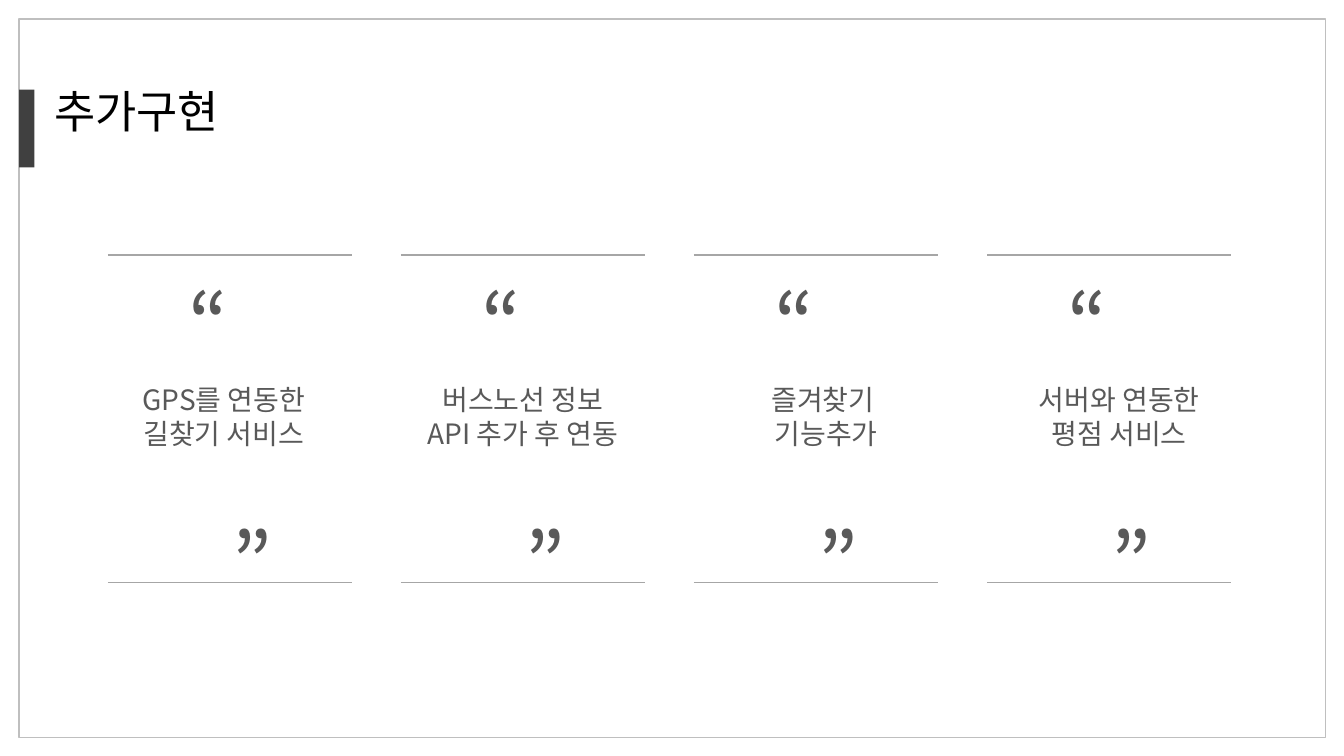
"""Build the slide that lists four planned extra features as quotations."""
from dataclasses import dataclass

from lxml import etree
from pptx import Presentation
from pptx.dml.color import RGBColor
from pptx.enum import shapes, text
from pptx.oxml import ns
from pptx.util import Inches, Length, Pt


@dataclass(frozen=True)
class Theme:
    font: str = "Noto Sans CJK KR"
    title: RGBColor = RGBColor(0x00, 0x00, 0x00)
    body: RGBColor = RGBColor(0x59, 0x59, 0x59)
    accent: RGBColor = RGBColor(0x40, 0x40, 0x40)
    frame: RGBColor = RGBColor(0xBF, 0xBF, 0xBF)
    rule: RGBColor = RGBColor(0xA6, 0xA6, 0xA6)
    title_size: Length = Pt(32)
    quote_size: Length = Pt(60)
    body_size: Length = Pt(20)
    frame_width: Length = Pt(1)
    rule_width: Length = Pt(0.75)


@dataclass(frozen=True)
class Box:
    left: float
    top: float
    width: float
    height: float

    def lengths(self) -> tuple[Length, ...]:
        return tuple(Inches(v) for v in (self.left, self.top, self.width, self.height))


@dataclass(frozen=True)
class Feature:
    lines: tuple[str, ...]
    caption_shift: float = 0


THEME = Theme()
FEATURES = (
    Feature(("GPS를 연동한", "길찾기 서비스"), -0.16),
    Feature(("버스노선 정보", "API 추가 후 연동"), -0.1),
    Feature(("즐겨찾기 ", "기능추가")),
    Feature(("서버와 연동한", "평점 서비스")),
)
FIRST_LEFT, LAST_LEFT, COLUMN_WIDTH = 1.07, 9.79, 2.42
PITCH = (LAST_LEFT - FIRST_LEFT) / (len(FEATURES) - 1)
RULE_TOPS = (2.53, 5.78)
QUOTE_WIDTH, QUOTE_HEIGHT = 2, 1.11
QUOTES = (("“", 0, 2.64), ("”", 0.43, 5.02))


def add_text(slide, box: Box, lines: tuple[str, ...], size: Length, color: RGBColor,
             align: text.PP_ALIGN = text.PP_ALIGN.CENTER) -> None:
    frame = slide.shapes.add_textbox(*box.lengths()).text_frame
    frame.word_wrap = True
    frame.auto_size = text.MSO_AUTO_SIZE.SHAPE_TO_FIT_TEXT
    frame.text = "\n".join(lines)
    for paragraph in frame.paragraphs:
        paragraph.alignment = align
        paragraph.font.name = THEME.font
        paragraph.font.size = size
        paragraph.font.color.rgb = color
        defaults = paragraph._p.pPr.find(ns.qn("a:defRPr"))
        etree.SubElement(defaults, ns.qn("a:ea"), typeface=THEME.font)


def add_rectangle(slide, box: Box, fill: RGBColor | None = None,
                  line: RGBColor | None = None) -> None:
    rectangle = slide.shapes.add_shape(shapes.MSO_SHAPE.RECTANGLE, *box.lengths())
    rectangle.shadow.inherit = False
    if fill is None:
        rectangle.fill.background()
    else:
        rectangle.fill.solid()
        rectangle.fill.fore_color.rgb = fill
    if line is None:
        rectangle.line.fill.background()
    else:
        rectangle.line.color.rgb = line
        rectangle.line.width = THEME.frame_width


def add_rule(slide, left: float, top: float) -> None:
    rule = slide.shapes.add_connector(
        shapes.MSO_CONNECTOR.STRAIGHT,
        Inches(left), Inches(top), Inches(left + COLUMN_WIDTH), Inches(top))
    rule.line.color.rgb = THEME.rule
    rule.line.width = THEME.rule_width
    etree.SubElement(rule._element.spPr, ns.qn("a:effectLst"))


def add_feature(slide, feature: Feature, left: float) -> None:
    for top in RULE_TOPS:
        add_rule(slide, left, top)
    for mark, shift, top in QUOTES:
        add_text(slide, Box(left + shift, top, QUOTE_WIDTH, QUOTE_HEIGHT),
                 (mark,), THEME.quote_size, THEME.body)
    add_text(slide, Box(left + feature.caption_shift, 3.75, 2.62, 0.77),
             feature.lines, THEME.body_size, THEME.body)


def main() -> None:
    deck = Presentation()
    deck.slide_width, deck.slide_height = Inches(13.33), Inches(7.5)
    slide = deck.slides.add_slide(deck.slide_layouts[6])
    add_rectangle(slide, Box(0.19, 0.19, 12.96, 7.13), line=THEME.frame)
    add_rectangle(slide, Box(0.19, 0.89, 0.15, 0.77), fill=THEME.accent)
    add_text(slide, Box(0.44, 0.78, 5.31, 0.98), ("추가구현",),
             THEME.title_size, THEME.title, text.PP_ALIGN.LEFT)
    for column, feature in enumerate(FEATURES):
        add_feature(slide, feature, FIRST_LEFT + column * PITCH)
    deck.save("out.pptx")


main()
